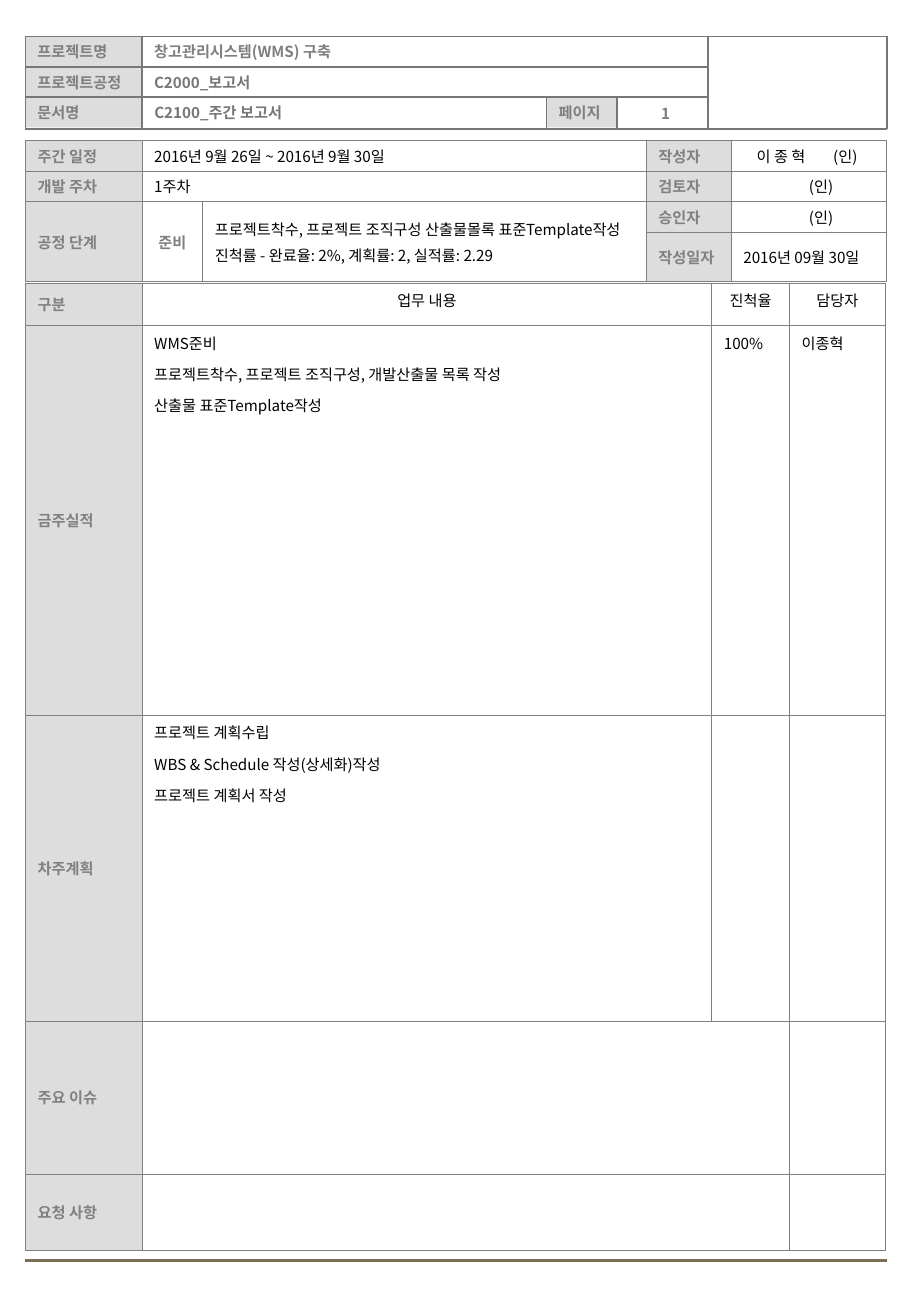
import lxml.etree
import pptx
import pptx.dml.color
import pptx.enum.shapes
import pptx.enum.text
import pptx.oxml.ns
import pptx.util

Inches, Pt = pptx.util.Inches, pptx.util.Pt
qn = pptx.oxml.ns.qn
ALIGN = pptx.enum.text.PP_ALIGN
ANCHOR = pptx.enum.text.MSO_ANCHOR

FONT = "Noto Sans CJK KR"
LEFT, RIGHT = 0.21, 7.3
LABEL_FILL = "DDDDDD"

# Text formats: colour, weight, space before, alignment, anchor, fill, cell margin
HEADER = dict(color="7F7F7F", bold=True, before=2.2, align=ALIGN.LEFT,
              anchor=ANCHOR.MIDDLE, fill=None, margin=0.02)
LABEL = dict(HEADER, color="808080", fill=LABEL_FILL)
STAGE = dict(LABEL, align=ALIGN.CENTER, fill=None)
INFO = dict(HEADER, color="000000", bold=False)
ENTRY = dict(INFO, before=5.6, anchor=ANCHOR.TOP, margin=0.05)
HEADING = dict(ENTRY, align=ALIGN.CENTER)


def rgb(color):
    return pptx.dml.color.RGBColor.from_string(color)


def sub(parent, tag, **attrs):
    return lxml.etree.SubElement(parent, qn(tag), attrs)


def write(tf, text, style, tabs=()):
    """Fill a text frame, one paragraph per line of text."""
    for i, line in enumerate(text.split("\n")):
        p = tf.add_paragraph() if i else tf.paragraphs[0]
        p.alignment = style["align"]
        p.space_before = Pt(style["before"])
        if tabs:
            tab_list = sub(p._p.get_or_add_pPr(), "a:tabLst")
            for pos in tabs:
                sub(tab_list, "a:tab", pos=str(Inches(pos)), algn="l")
        r = p.add_run()
        r.text = line
        r.font.color.rgb = rgb(style["color"])
        for name, value in dict(size=Pt(9), bold=style["bold"], name=FONT).items():
            setattr(r.font, name, value)
        sub(r._r.get_or_add_rPr(), "a:ea", typeface=FONT)


def set_frame(tf, anchor):
    frame = dict(word_wrap=True, auto_size=pptx.enum.text.MSO_AUTO_SIZE.NONE,
                 vertical_anchor=anchor,
                 margin_left=Inches(0.1), margin_right=Inches(0.1),
                 margin_top=Inches(0.05), margin_bottom=Inches(0.05))
    for name, value in frame.items():
        setattr(tf, name, value)


def add_label(s, x, y, w, h, text):
    sp = s.shapes.add_shape(pptx.enum.shapes.MSO_SHAPE.RECTANGLE,
                            Inches(x), Inches(y), Inches(w), Inches(h))
    sp.shadow.inherit = False
    sp.fill.solid()
    sp.fill.fore_color.rgb = rgb(LABEL_FILL)
    sp.line.fill.background()
    set_frame(sp.text_frame, ANCHOR.MIDDLE)
    write(sp.text_frame, text, HEADER)


def add_text(s, x, y, w, h, text, style):
    sp = s.shapes.add_textbox(Inches(x), Inches(y), Inches(w), Inches(h))
    set_frame(sp.text_frame, style["anchor"])
    write(sp.text_frame, text, style)


def set_title(s, x, y, w, h, text, style):
    sp = s.shapes.title
    for name, value in dict(left=x, top=y, width=w, height=h).items():
        setattr(sp, name, Inches(value))
    set_frame(sp.text_frame, style["anchor"])
    write(sp.text_frame, text, style)


def add_line(s, x1, y1, x2, y2, color="777777", width=1):
    line = s.shapes.add_connector(pptx.enum.shapes.MSO_CONNECTOR.STRAIGHT,
                                  Inches(x1), Inches(y1), Inches(x2), Inches(y2))
    line.line.color.rgb = rgb(color)
    line.line.width = Pt(width)
    sub(line._element.spPr, "a:effectLst")


def set_borders(cell):
    tc_pr = cell._tc.get_or_add_tcPr()
    for i, side in enumerate(("a:lnL", "a:lnR", "a:lnT", "a:lnB")):
        ln = lxml.etree.Element(qn(side), w=str(Pt(0.45)))
        sub(sub(ln, "a:solidFill"), "a:srgbClr", val="808080")
        tc_pr.insert(i, ln)


def add_grid(s, y, cols, rows, merges, cells):
    """cells maps (row, column) to (text, style) or (text, style, tabs)."""
    table = s.shapes.add_table(len(rows), len(cols), Inches(LEFT), Inches(y),
                               Inches(sum(cols)), Inches(sum(rows))).table
    table.first_row = table.horz_banding = False
    for col, width in zip(table.columns, cols):
        col.width = Inches(width)
    for row, height in zip(table.rows, rows):
        row.height = Inches(height)
    for cell in table.iter_cells():
        cell.fill.background()
        set_borders(cell)
    for first, last in merges:
        table.cell(*first).merge(table.cell(*last))
    for place, (text, style, *tabs) in cells.items():
        cell = table.cell(*place)
        cell.vertical_anchor = style["anchor"]
        cell.margin_top = cell.margin_bottom = Inches(style["margin"])
        if style["fill"]:
            cell.fill.solid()
            cell.fill.fore_color.rgb = rgb(style["fill"])
        write(cell.text_frame, text, style, *tabs)


def add_header(s):
    top, row, bottom = 0.3, 0.25, 1.06
    label_right, page_left, page_right, box_left = 1.17, 4.5, 5.08, 5.83
    tops = [top + i * row for i in range(3)]
    code = dict(HEADER, color="777777")

    # Labels and values
    for y, text in zip(tops, ("프로젝트명", "프로젝트공정", "문서명")):
        add_label(s, LEFT, y, label_right - LEFT, row, text)
    add_label(s, page_left, tops[2], page_right - page_left, row, "페이지")
    wide = box_left - label_right
    add_text(s, label_right, tops[0], wide, row, "창고관리시스템(WMS) 구축", HEADER)
    add_text(s, label_right, tops[1], wide, row, "C2000_보고서", code)
    set_title(s, label_right, tops[2], page_left - label_right, row,
              "C2100_주간 보고서", code)
    add_text(s, page_right, 0.81, 0.8, 0.28, "1",
             dict(HEADER, align=ALIGN.CENTER, anchor=ANCHOR.TOP, before=0))

    # Rules
    for x in (LEFT, label_right, box_left, RIGHT):
        add_line(s, x, top, x, bottom)
    for x in (page_left, page_right):
        add_line(s, x, tops[2], x, bottom)
    for y in tops[1:]:
        add_line(s, LEFT, y, box_left, y)
    for y in (top, bottom):
        add_line(s, LEFT, y, RIGHT, y)


def add_report_info(s):
    cells = {(i, 0): (text, LABEL)
             for i, text in enumerate(("주간 일정", "개발 주차", "공정 단계"))}
    cells |= {(i, 3): (text, LABEL)
              for i, text in enumerate(("작성자", "검토자", "승인자", "작성일자"))}
    cells |= {
        (0, 1): ("2016년 9월 26일 ~ 2016년 9월 30일", INFO),
        (1, 1): ("1주차", INFO),
        (2, 1): ("준비", STAGE),
        (2, 2): ("프로젝트착수, 프로젝트 조직구성 산출물몰록 표준Template작성\n"
                 "진척률 - 완료율: 2%, 계획률: 2, 실적률: 2.29", INFO),
        (0, 4): ("\t이 종 혁\t(인)", INFO, (0.11, 0.74)),
        (1, 4): ("\t(인)", INFO, (0.54,)),
        (2, 4): ("\t(인)", INFO, (0.54,)),
        (3, 4): ("2016년 09월 30일", INFO),
    }
    merges = [((0, 1), (0, 2)), ((1, 1), (1, 2))]
    merges += [((2, col), (3, col)) for col in range(3)]
    add_grid(s, 1.16, (0.96, 0.5, 3.65, 0.7, 1.28), (0.25, 0.25, 0.25, 0.41),
             merges, cells)


def add_work_log(s):
    sections = ("구분", "금주실적", "차주계획", "주요 이슈", "요청 사항")
    cells = {(i, 0): (text, LABEL) for i, text in enumerate(sections)}
    cells |= {(0, i): (text, HEADING)
              for i, text in enumerate(("업무 내용", "진척율", "담당자"), 1)}
    cells |= {
        (1, 1): ("WMS준비\n프로젝트착수, 프로젝트 조직구성, 개발산출물 목록 작성\n"
                 "산출물 표준Template작성", ENTRY),
        (1, 2): ("100%", ENTRY),
        (1, 3): ("이종혁", ENTRY),
        (2, 1): ("프로젝트 계획수립\nWBS & Schedule 작성(상세화)작성\n"
                 "프로젝트 계획서 작성", ENTRY),
    }
    merges = [((row, 1), (row, 2)) for row in (3, 4)]
    add_grid(s, 2.33, (0.96, 4.69, 0.64, 0.79), (0.35, 3.21, 2.52, 1.26, 0.63),
             merges, cells)


def main():
    prs = pptx.Presentation()
    prs.slide_width, prs.slide_height = Inches(7.5), Inches(10.84)
    s = prs.slides.add_slide(prs.slide_layouts[5])
    add_header(s)
    add_report_info(s)
    add_work_log(s)
    add_line(s, LEFT, 10.38, RIGHT, 10.38, "7A6F54", 1.75)
    prs.save("out.pptx")


if __name__ == "__main__":
    main()
